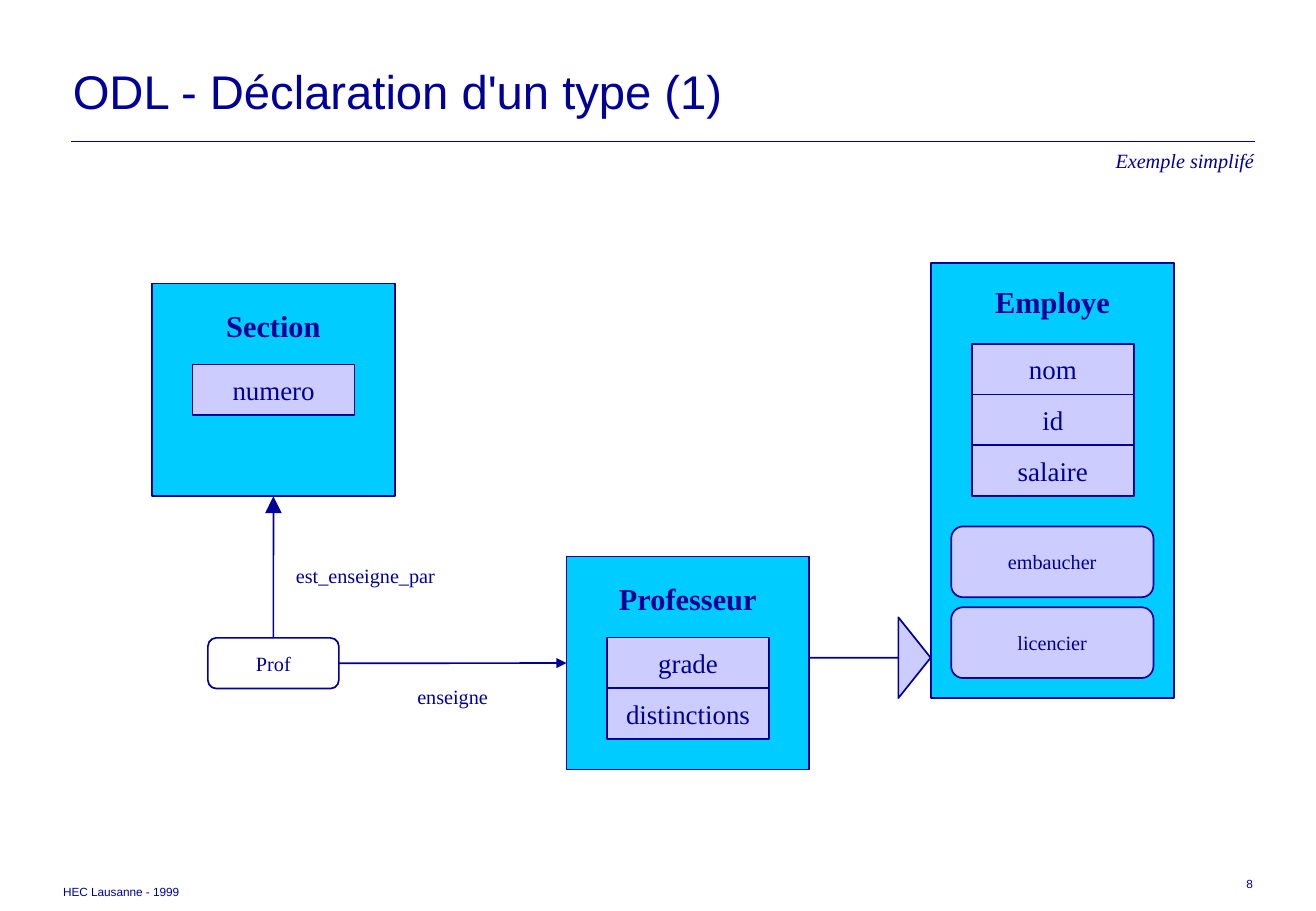
from pptx import Presentation
from pptx.dml.color import RGBColor
from pptx.enum.shapes import MSO_CONNECTOR, MSO_SHAPE
from pptx.enum.text import MSO_ANCHOR, PP_ALIGN
from pptx.oxml.ns import qn
from pptx.util import Cm, Pt
from lxml.etree import SubElement

NAVY = RGBColor(0x00, 0x00, 0x99)
CYAN = RGBColor(0x00, 0xCC, 0xFF)
LAVENDER = RGBColor(0xCC, 0xCC, 0xFF)
SERIF = "Times New Roman"
SANS = "Arial"

deck = Presentation()
deck.slide_width = Cm(27.53)
deck.slide_height = Cm(19.05)
page = deck.slides.add_slide(deck.slide_layouts[5])


def write(shape, text, size, font=SERIF, align=PP_ALIGN.CENTER, anchor=MSO_ANCHOR.MIDDLE):
    frame = shape.text_frame
    frame.word_wrap = True
    frame.vertical_anchor = anchor
    para = frame.paragraphs[0]
    para.text = text
    para.alignment = align
    para.font.size = Pt(size)
    para.font.name = font
    para.font.color.rgb = NAVY
    return para


def add_block(kind, left, top, width, height, fill):
    block = page.shapes.add_shape(kind, Cm(left), Cm(top), Cm(width), Cm(height))
    block.shadow.inherit = False
    if fill is None:
        block.fill.background()
    else:
        block.fill.solid()
        block.fill.fore_color.rgb = fill
    block.line.color.rgb = NAVY
    block.line.width = Pt(1)
    return block


title = page.shapes.title
title.left, title.top, title.width, title.height = Cm(1.27), Cm(1.06), Cm(24.98), Cm(1.69)
write(title, "ODL - Déclaration d'un type (1)", 28, SANS, PP_ALIGN.LEFT)

classes = [
    ("Employe", 19.48, 5.5, 9.1, 0.43, ["nom", "id", "salaire"]),
    ("Professeur", 11.85, 11.64, 4.45, 0.49, ["grade", "distinctions"]),
    ("Section", 3.18, 5.93, 4.45, 0.49, ["numero"]),
]
class_boxes = {}
for name, left, top, height, inset, attributes in classes:
    box = add_block(MSO_SHAPE.RECTANGLE, left, top, 5.08, height, CYAN)
    write(box, name, 18, anchor=MSO_ANCHOR.TOP).font.bold = True
    box.text_frame.margin_top = Cm(inset)
    class_boxes[name] = box
    for row, attribute in enumerate(attributes):
        cell = add_block(MSO_SHAPE.RECTANGLE, left + 0.85, top + 1.69 + row * 1.06,
                         3.39, 1.06, LAVENDER)
        write(cell, attribute, 16)

for row, method in enumerate(["embaucher", "licencier"]):
    method_box = add_block(MSO_SHAPE.ROUNDED_RECTANGLE, 19.9, 11.01 + row * 1.69,
                           4.23, 1.48, LAVENDER)
    write(method_box, method, 12)

inheritance = add_block(MSO_SHAPE.RIGHT_ARROW, 16.93, 12.91, 2.54, 1.69, LAVENDER)
inheritance.adjustments[0] = 0
inheritance.adjustments[1] = 0.4

prof = add_block(MSO_SHAPE.ROUNDED_RECTANGLE, 4.35, 13.34, 2.74, 1.06, None)
write(prof, "Prof", 12)

rule = page.shapes.add_connector(MSO_CONNECTOR.STRAIGHT, Cm(1.48), Cm(2.96), Cm(26.25), Cm(2.96))
teaches = page.shapes.add_connector(MSO_CONNECTOR.STRAIGHT, 0, 0, 0, 0)
teaches.begin_connect(prof, 3)
teaches.end_connect(class_boxes["Professeur"], 1)
taught_by = page.shapes.add_connector(MSO_CONNECTOR.STRAIGHT, 0, 0, 0, 0)
taught_by.begin_connect(prof, 0)
taught_by.end_connect(class_boxes["Section"], 2)

for connector, width, head in [(rule, 0.25, None), (teaches, 1, "med"), (taught_by, 1, "lg")]:
    connector.line.color.rgb = NAVY
    connector.line.width = Pt(width)
    if head:
        SubElement(connector.line._get_or_add_ln(), qn("a:tailEnd"),
                   type="triangle", w=head, len=head)
    SubElement(connector._element.spPr, qn("a:effectLst"))

labels = [
    ("enseigne", 8.48, 14.18, 2.5, 0.76, 12, SERIF, PP_ALIGN.LEFT, False),
    ("est_enseigne_par", 5.94, 11.65, 4, 0.76, 12, SERIF, PP_ALIGN.LEFT, False),
    ("Exemple simplifé", 22.49, 2.97, 4, 0.76, 12, SERIF, PP_ALIGN.RIGHT, True),
    ("HEC Lausanne - 1999", 1.07, 18.37, 6.93, 0.55, 7, SANS, PP_ALIGN.LEFT, False),
    ("8", 19.53, 18.2, 6.93, 0.55, 7, SANS, PP_ALIGN.RIGHT, False),
]
for text, left, top, width, height, size, font, align, italic in labels:
    label = page.shapes.add_textbox(Cm(left), Cm(top), Cm(width), Cm(height))
    write(label, text, size, font, align).font.italic = italic

deck.save("out.pptx")
